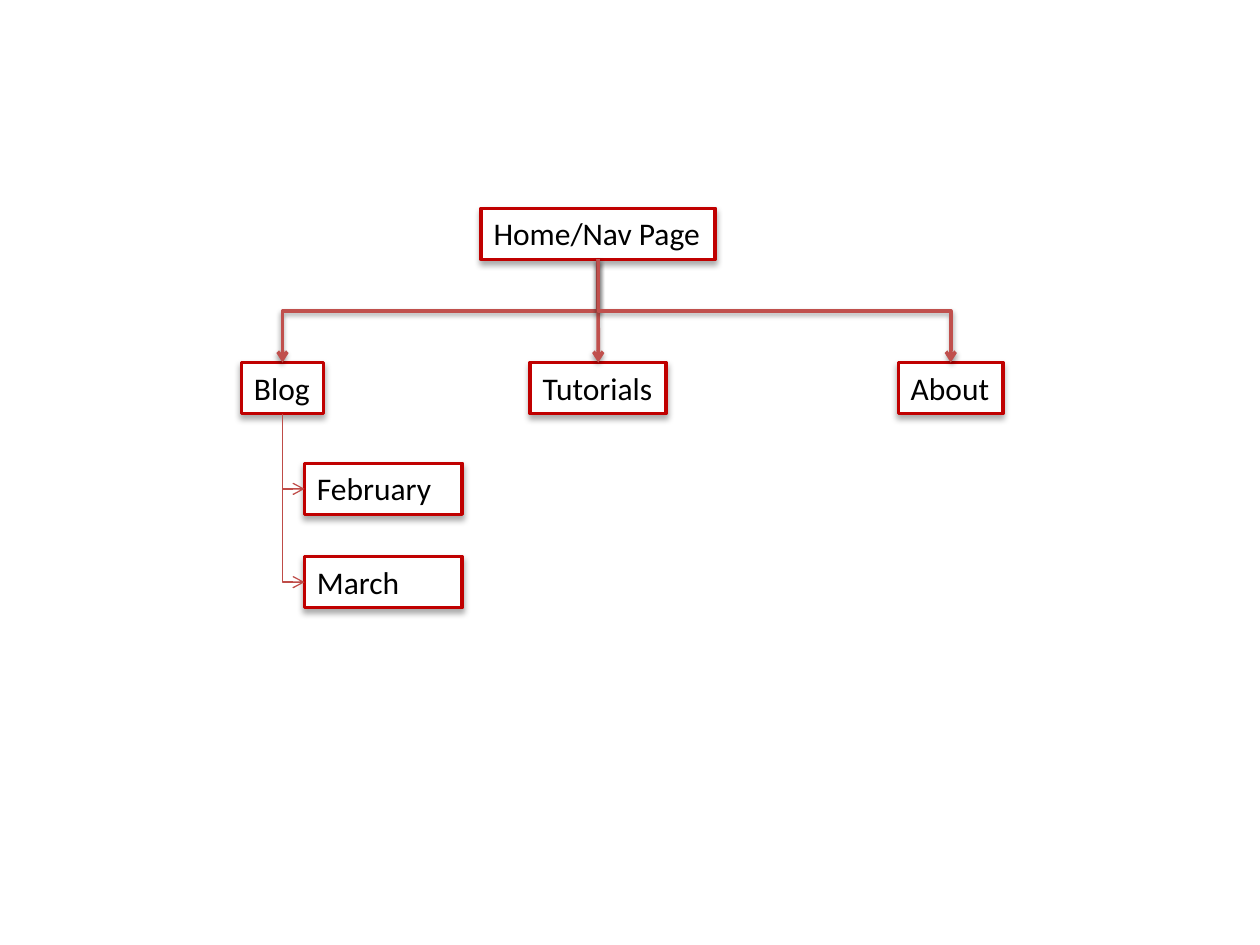
from lxml import etree
from pptx import Presentation
from pptx.dml.color import RGBColor
from pptx.enum import shapes, text
from pptx.oxml.ns import qn
from pptx.util import Cm, Pt

COLORS = {"paper": "FFFFFF", "ink": "000000", "border": "C00000",
          "branch": "C0504D", "twig": "BF4C48"}
BOX_SHADOW = (32, 3.5, 2.2)  # opacity %, blur pt, distance pt
BRANCH_SHADOW = (38, 3.1, 1.6)
BOX_HEIGHT = 1.03
BOTTOM, TOP = 2, 0


class SiteMap:
    """Holds the slide and the style of the boxes and arrows on it."""

    font = "Calibri"
    font_size = Pt(18)

    def __init__(self, slide):
        self.slide = slide

    def color(self, name):
        return RGBColor.from_string(COLORS[name])

    def effects(self, shape, shadow=None):
        """Add a downward shadow, or an empty effect list for none."""
        effects = etree.SubElement(shape._element.spPr, qn("a:effectLst"))
        if shadow:
            opacity, blur, distance = shadow
            outer = etree.SubElement(
                effects, qn("a:outerShdw"), blurRad=str(Pt(blur)),
                dist=str(Pt(distance)), dir="5400000", rotWithShape="0")
            tint = etree.SubElement(outer, qn("a:srgbClr"), val=COLORS["ink"])
            etree.SubElement(tint, qn("a:alpha"), val=str(opacity * 1000))

    def box(self, label, left, top, width, wrap=False):
        shape = self.slide.shapes.add_textbox(
            Cm(left), Cm(top), Cm(width), Cm(BOX_HEIGHT))
        shape.fill.solid()
        shape.fill.fore_color.rgb = self.color("paper")
        shape.line.color.rgb = self.color("border")
        shape.line.width = Pt(2)
        self.effects(shape, BOX_SHADOW)
        frame = shape.text_frame
        frame.word_wrap = wrap
        frame.auto_size = text.MSO_AUTO_SIZE.SHAPE_TO_FIT_TEXT
        run = frame.paragraphs[0].add_run()
        run.text = label
        run.font.name = self.font
        run.font.size = self.font_size
        run.font.color.rgb = self.color("ink")
        return shape

    def style_arrow(self, connector, color, width, shadow=None):
        connector.line.color.rgb = self.color(color)
        connector.line.width = Pt(width)
        etree.SubElement(connector.line._get_or_add_ln(), qn("a:tailEnd"), type="arrow")
        self.effects(connector, shadow)

    def straight_arrow(self, parent, child, *style):
        center = parent.left + parent.width // 2
        connector = self.slide.shapes.add_connector(
            shapes.MSO_CONNECTOR.STRAIGHT,
            center, parent.top + parent.height, center, child.top)
        connector.begin_connect(parent, BOTTOM)
        connector.end_connect(child, TOP)
        self.style_arrow(connector, *style)

    def elbow_arrow(self, parent, child, *style, into_side=False):
        """Leave the parent downwards and enter the child's top or left side."""
        begin_x = parent.left + parent.width // 2
        begin_y = parent.top + parent.height
        if into_side:
            end_x, end_y = child.left, child.top + child.height // 2
        else:
            end_x, end_y = child.left + child.width // 2, child.top
        # The preset runs sideways, so it is turned a quarter about its centre
        length, breadth = end_y - begin_y, abs(end_x - begin_x)
        left = (begin_x + end_x - length) // 2
        top = (begin_y + end_y - breadth) // 2
        connector = self.slide.shapes.add_connector(
            shapes.MSO_CONNECTOR.ELBOW, left, top, left + length, top + breadth)
        properties = connector._element.spPr
        frame = properties.find(qn("a:xfrm"))
        if end_x < begin_x:
            frame.set("rot", "5400000")
        else:
            frame.set("rot", "16200000")
            frame.set("flipH", "1")
        if into_side:
            properties.find(qn("a:prstGeom")).set("prst", "bentConnector2")
        self.style_arrow(connector, *style)


def main():
    presentation = Presentation()
    presentation.slide_width, presentation.slide_height = Cm(25.4), Cm(19.05)
    site = SiteMap(presentation.slides.add_slide(presentation.slide_layouts[6]))

    # Pages
    page_top = 7.31
    blog = site.box("Blog", 4.87, page_top, 1.65)
    about = site.box("About", 18.11, page_top, 2.11)
    tutorials = site.box("Tutorials", 10.69, page_top, 2.74)
    home = site.box("Home/Nav Page", 9.7, 4.2, 4.72)

    # Branches from the home page
    branch = ("branch", 2, BRANCH_SHADOW)
    site.elbow_arrow(home, blog, *branch)
    site.straight_arrow(home, tutorials, *branch)
    site.elbow_arrow(home, about, *branch)

    # Blog archive by month
    for index, month in enumerate(("February", "March")):
        entry = site.box(month, 6.14, 9.34 + 1.88 * index, 3.18, wrap=True)
        site.elbow_arrow(blog, entry, "twig", 0.75, into_side=True)

    presentation.save("out.pptx")


if __name__ == "__main__":
    main()
